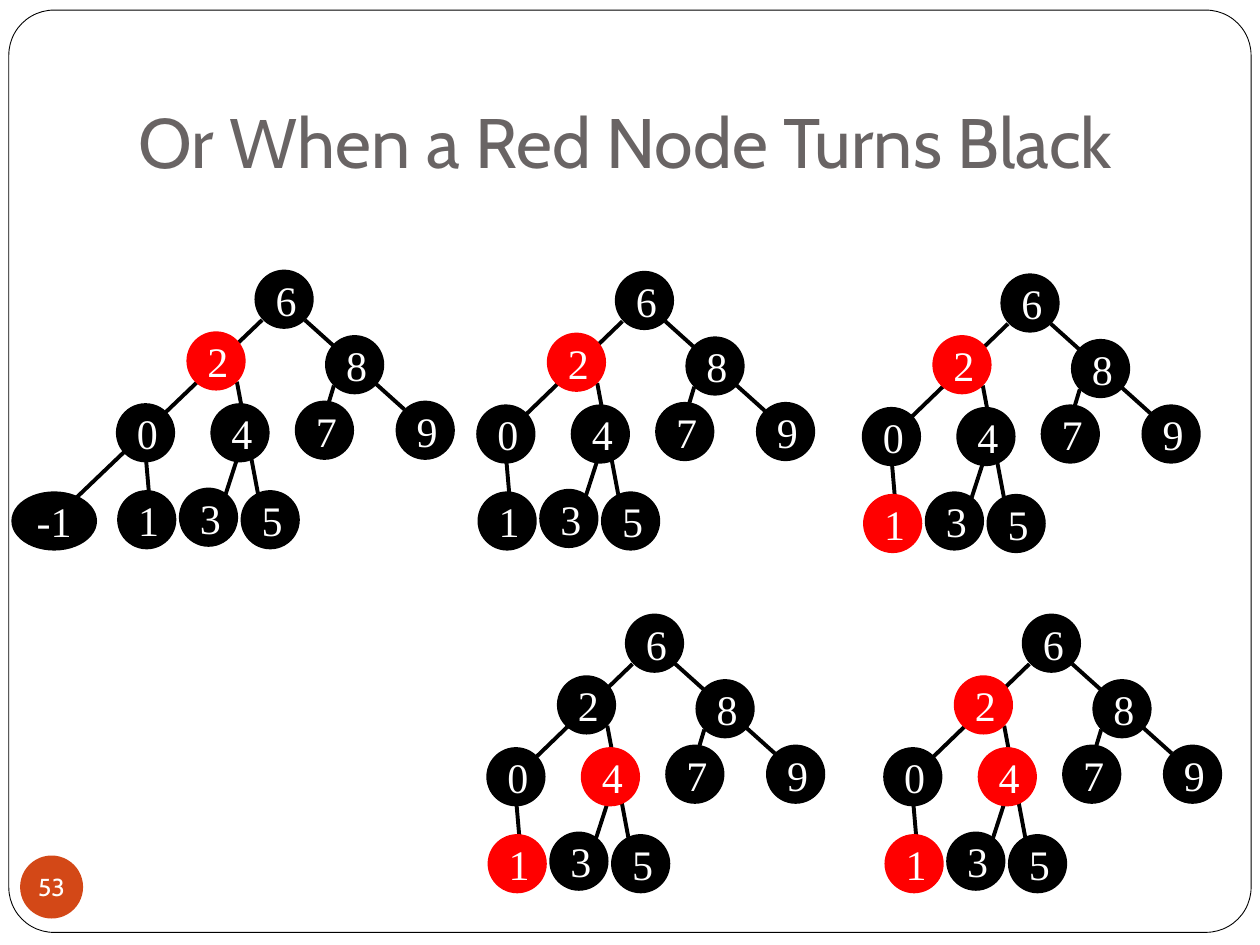
from lxml.etree import SubElement
from pptx import Presentation
from pptx.dml.color import RGBColor
from pptx.enum.shapes import MSO_CONNECTOR as Connector, MSO_SHAPE as Shape
from pptx.enum.text import MSO_ANCHOR as Anchor, PP_ALIGN as Align
from pptx.oxml.ns import qn
from pptx.util import Inches, Pt

BLACK, RED, WHITE = "000000", "FF0000", "FFFFFF"
ORANGE, GREY = "D34817", "696464"
NODE_SIZE = 0.47

# Node label: offset from the tree's corner
NODES = {
    "7": (1.42, 1.04), "2": (0.56, 0.49), "4": (0.75, 1.06),
    "6": (1.10, 0.00), "8": (1.66, 0.52), "9": (2.22, 1.04),
    "0": (0.00, 1.06), "5": (0.99, 1.75), "3": (0.50, 1.73),
    "1": (0.01, 1.75),
}
EXTRA_NODE = ("-1", (-0.83, 1.76))
EXTRA_WIDTH = 0.68

# Branches as start and end offsets; the left spine is added per tree
BRANCHES = [
    ((0.28, 1.98), (0.21, 1.17)),
    ((1.04, 1.26), (0.81, 1.97)),
    ((1.73, 0.92), (1.60, 1.35)),
    ((1.16, 1.95), (0.96, 0.89)),
    ((1.50, 0.40), (2.29, 1.11)),
]
SPINE_START = (1.16, 0.40)
SPINE_END, LONG_SPINE_END = (0.28, 1.25), (-0.46, 1.95)

# Tree corner, labels of the red nodes, whether node -1 is present
TREES = [
    ((0.92, 2.14), "2", True),
    ((3.78, 2.15), "2", False),
    ((6.84, 2.17), "21", False),
    ((3.86, 4.87), "41", False),
    ((7.01, 4.87), "241", False),
]


def color(value):
    return RGBColor.from_string(value)


def set_values(target, values):
    for name, value in values.items():
        setattr(target, name, value)


def write(shape, text, font, size, text_color, align, frame_values):
    set_values(shape.text_frame, frame_values)
    paragraph = shape.text_frame.paragraphs[0]
    paragraph.alignment = align
    run = paragraph.add_run()
    run.text = text
    set_values(run.font, {"name": font, "size": Pt(size)})
    run.font.color.rgb = color(text_color)


def add_filled(shapes, kind, box, fill):
    shape = shapes.add_shape(kind, *map(Inches, box))
    shape.shadow.inherit = False
    shape.fill.solid()
    shape.fill.fore_color.rgb = color(fill)
    shape.line.fill.background()
    return shape


def add_frame(slide, box):
    frame = add_filled(slide.shapes, Shape.ROUNDED_RECTANGLE, box, WHITE)
    frame.adjustments[0] = 0.049
    frame.line.color.rgb = color(BLACK)
    frame.line.width = Pt(0.5)


def add_title(slide, box):
    title = slide.shapes.add_textbox(*map(Inches, box))
    write(title, "Or When a Red Node Turns Black", "Cabin", 40, GREY, Align.LEFT,
          {"word_wrap": True, "vertical_anchor": Anchor.BOTTOM,
           "margin_bottom": Inches(0.1)})


def add_page_number(slide, box):
    badge = add_filled(slide.shapes, Shape.OVAL, box, ORANGE)
    margins = {f"margin_{side}": 0 for side in ("left", "top", "right", "bottom")}
    write(badge, "53", "Cabin", 14, WHITE, Align.CENTER,
          {"word_wrap": False, "vertical_anchor": Anchor.MIDDLE, **margins})


def add_branch(shapes, start, end):
    branch = shapes.add_connector(Connector.STRAIGHT, *map(Inches, start + end))
    branch.line.color.rgb = color(BLACK)
    branch.line.width = Pt(2.25)
    SubElement(branch._element.spPr, qn("a:effectLst"))


def add_node(shapes, label, box, fill):
    node = add_filled(shapes, Shape.OVAL, box, fill)
    write(node, label, "Times New Roman", 24, WHITE, Align.CENTER,
          {"word_wrap": True, "vertical_anchor": Anchor.MIDDLE})


def add_tree(slide, corner, red_labels, has_extra):
    left, top = corner
    shapes = slide.shapes.add_group_shape().shapes

    def place(offset):
        return left + offset[0], top + offset[1]

    # Branches lie behind the nodes
    spine = (SPINE_START, LONG_SPINE_END if has_extra else SPINE_END)
    for start, end in BRANCHES + [spine]:
        add_branch(shapes, place(start), place(end))

    for label, offset in NODES.items():
        fill = RED if label in red_labels else BLACK
        add_node(shapes, label, (*place(offset), NODE_SIZE, NODE_SIZE), fill)
    if has_extra:
        label, offset = EXTRA_NODE
        add_node(shapes, label, (*place(offset), EXTRA_WIDTH, NODE_SIZE), BLACK)


def main():
    presentation = Presentation()
    presentation.slide_width = Inches(10)
    presentation.slide_height = Inches(7.5)
    slide = presentation.slides.add_slide(presentation.slide_layouts[6])

    add_frame(slide, (0.07, 0.08, 9.86, 7.32))
    add_title(slide, (1, 0.3, 8.5, 1.25))
    add_page_number(slide, (0.16, 6.79, 0.5, 0.5))
    for corner, red_labels, has_extra in TREES:
        add_tree(slide, corner, red_labels, has_extra)

    presentation.save("out.pptx")


if __name__ == "__main__":
    main()
